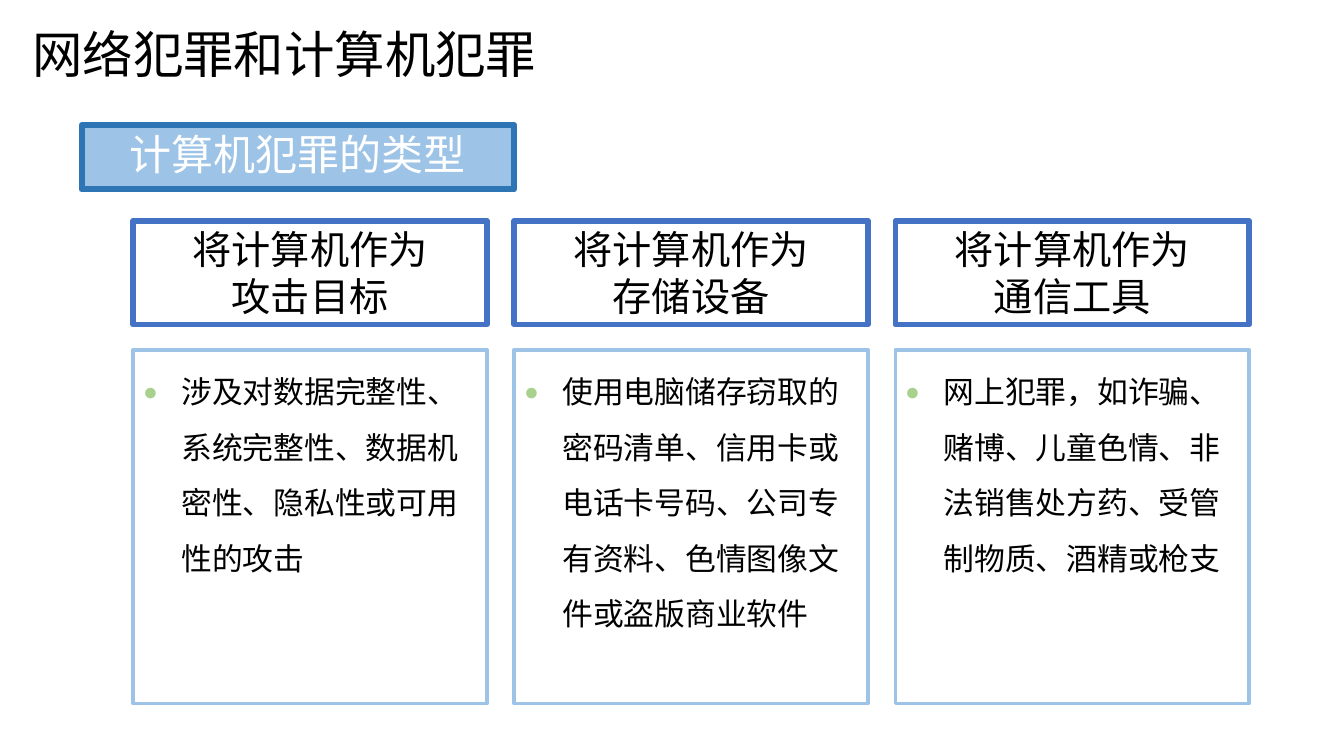
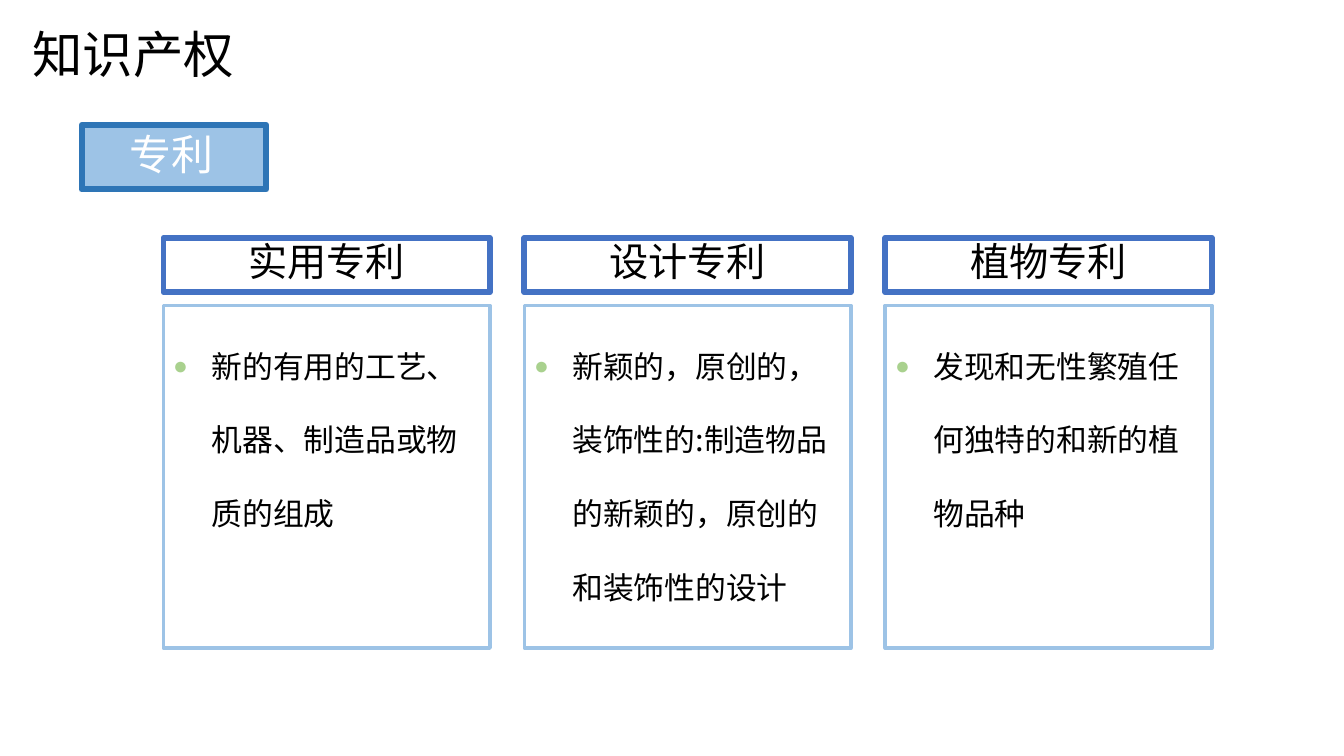
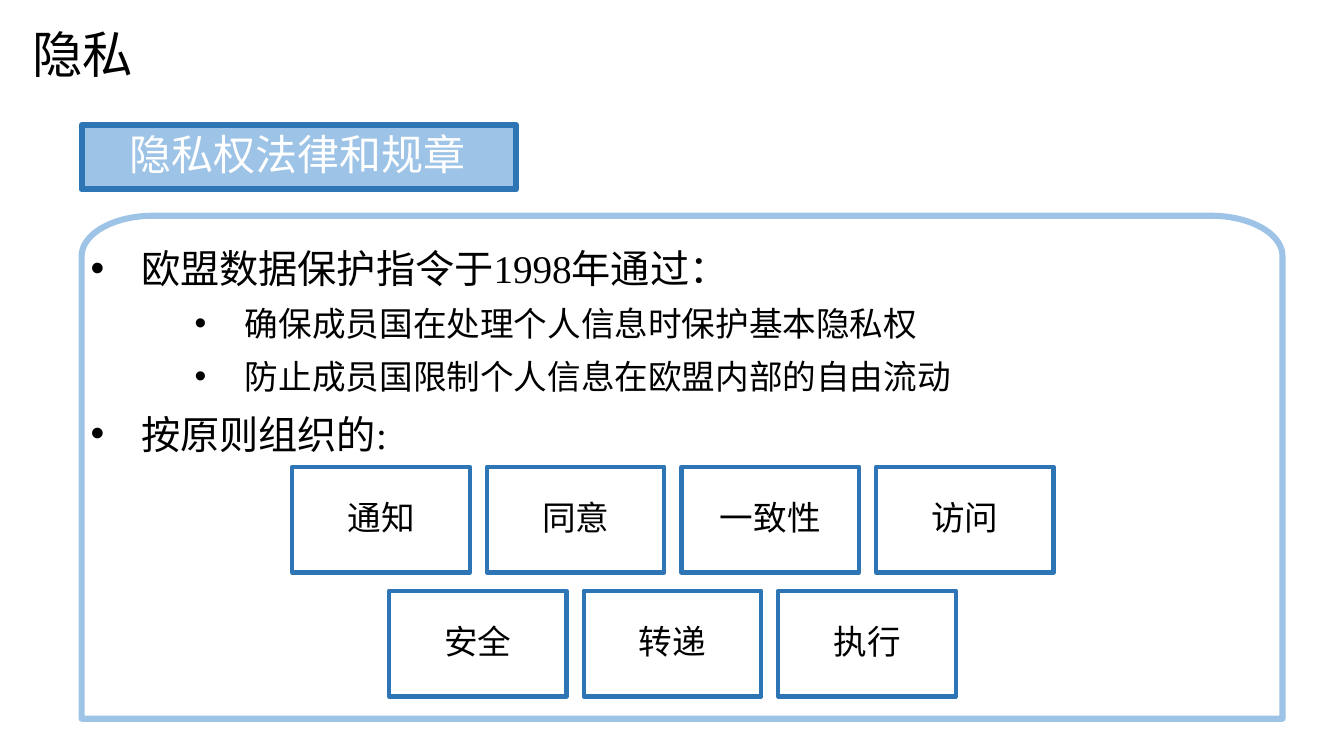
import math
from dataclasses import dataclass

from lxml import etree
from pptx import Presentation
from pptx import util as u
from pptx.dml.color import RGBColor
from pptx.enum import shapes, text
from pptx.oxml.ns import qn

PX = 9144  # EMU in one px, 100 px to the inch


@dataclass(frozen=True)
class Theme:
    sans: str = "Noto Sans CJK SC"
    serif: str = "Times New Roman"
    ink: str = "000000"
    white: str = "FFFFFF"
    sky: str = "9DC3E6"
    blue: str = "2E75B6"
    royal: str = "4472C4"
    green: str = "A9D18E"
    title: int = 36
    tag: int = 30
    heading: int = 28
    label: int = 24
    card: int = 22
    heavy: float = 4.33
    strong: float = 4
    medium: float = 3
    light: float = 2.5


LEFT, CENTER = text.PP_ALIGN.LEFT, text.PP_ALIGN.CENTER
TOP, MIDDLE = text.MSO_ANCHOR.TOP, text.MSO_ANCHOR.MIDDLE
TITLE_ONLY, TITLE_AND_LIST = 5, 1


def assign(obj, **values):
    for name, value in values.items():
        setattr(obj, name, value)


def place(sp, box):
    assign(sp, **{k: v * PX for k, v in zip(("left", "top", "width", "height"), box)})


class Deck:
    def __init__(self, theme):
        self.theme = theme
        self.prs = Presentation()
        assign(self.prs, slide_width=1333 * PX, slide_height=750 * PX)

    def slide(self, title, tag, tag_width, layout=TITLE_ONLY):
        t = self.theme
        self.s = self.prs.slides.add_slide(self.prs.slide_layouts[layout])
        sp = self.s.shapes.title
        place(sp, (21, 0, 591, 106))
        self.frame(sp, MIDDLE, (11, 6, 11, 6))
        self.set_lines(sp, [title], t.title)
        self.box((81, 124, tag_width, 64), [tag], t.tag, t.blue, t.heavy, fill=t.sky,
                 color=t.white, anchor=MIDDLE, insets=(47, 0, 40, 0), spacing=0.9)

    def frame(self, sp, anchor, insets):
        left, top, right, bottom = (i * PX for i in insets)
        assign(sp.text_frame, word_wrap=True, auto_size=text.MSO_AUTO_SIZE.NONE,
               vertical_anchor=anchor, margin_left=left, margin_top=top,
               margin_right=right, margin_bottom=bottom)

    def set_lines(self, sp, lines, size, **style):
        tf = sp.text_frame
        for i, line in enumerate(lines):
            p = tf.add_paragraph() if i else tf.paragraphs[0]
            self.paragraph(p, line, size, **style)

    def paragraph(self, p, line, size, color=None, latin=None, align=LEFT,
                  spacing=1.0, bullet=None):
        t = self.theme
        assign(p, alignment=align, line_spacing=spacing,
               space_before=u.Pt(0), space_after=u.Pt(0))
        if bullet:
            self.bullet(p, **bullet)
        r = p.add_run()
        r.text = line
        assign(r.font, size=u.Pt(size), name=latin or t.sans)
        r.font.color.rgb = RGBColor.from_string(color or t.ink)
        etree.SubElement(r._r.get_or_add_rPr(), qn("a:ea"), typeface=t.sans)

    def bullet(self, p, char, margin, hang, color=None, percent=100):
        pPr = p._p.get_or_add_pPr()
        pPr.set("marL", str(margin * PX))
        pPr.set("indent", str(-hang * PX))
        if color:
            clr = etree.SubElement(pPr, qn("a:buClr"))
            etree.SubElement(clr, qn("a:srgbClr"), val=color)
        etree.SubElement(pPr, qn("a:buSzPct"), val=str(percent * 1000))
        etree.SubElement(pPr, qn("a:buFont"), typeface="Arial")
        etree.SubElement(pPr, qn("a:buChar"), char=char)

    def paint(self, sp, line, weight, fill=None):
        sp.shadow.inherit = False
        if fill:
            sp.fill.solid()
            sp.fill.fore_color.rgb = RGBColor.from_string(fill)
        else:
            sp.fill.background()
        sp.line.color.rgb = RGBColor.from_string(line)
        sp.line.width = u.Pt(weight)

    def box(self, box, lines, size, line, weight, fill=None, anchor=TOP,
            insets=(10, 5, 10, 5), **style):
        sp = self.s.shapes.add_shape(shapes.MSO_SHAPE.RECTANGLE, *(v * PX for v in box))
        self.paint(sp, line, weight, fill)
        self.frame(sp, anchor, insets)
        self.set_lines(sp, lines, size, **style)

    def columns(self, items, left, pitch, width, heading, card, heading_spacing, card_spacing):
        """Headed cards side by side; heading and card are (top, height)."""
        t = self.theme
        dot = dict(char="●", margin=38, hang=38, color=t.green, percent=80)
        for i, (title, body) in enumerate(items):
            x = left + i * pitch
            self.box((x, heading[0], width, heading[1]), title, t.heading, t.royal,
                     t.strong, align=CENTER, spacing=heading_spacing)
            self.box((x, card[0], width, card[1]), [body], t.card, t.sky, t.light,
                     spacing=card_spacing, bullet=dot)

    def panel(self, box, rx, ry):
        """Outline with elliptical upper corners."""
        x, y, w, h = box
        arc = [(math.cos(a), math.sin(a)) for a in (math.pi * k / 48 for k in range(25))]
        right = [(x + w - rx + rx * c, y + ry - ry * s) for c, s in reversed(arc)]
        left = [(x + rx - rx * c, y + ry - ry * s) for c, s in arc]
        points = [(round(a * PX), round(b * PX)) for a, b in
                  right + [(x + w, y + h), (x, y + h)] + left]
        builder = self.s.shapes.build_freeform(*points[0], scale=1.0)
        builder.add_line_segments(points[1:], close=True)
        self.paint(builder.convert_to_shape(), self.theme.sky, self.theme.heavy)

    def outline(self, box, items):
        """Body list of (level, text) items."""
        t = self.theme
        sp = self.s.placeholders[1]
        place(sp, box)
        self.frame(sp, TOP, (9, 14, 8, 3))
        tf = sp.text_frame
        for i, (level, line) in enumerate(items):
            p = tf.add_paragraph() if i else tf.paragraphs[0]
            p.level = level
            self.paragraph(p, line, (t.heading, t.label)[level], latin=t.serif, spacing=1.3,
                           bullet=dict(char="•", margin=(50, 153)[level], hang=50))

    def cells(self, rows, center, top, width, height, gap):
        """Rows of labelled boxes, each row centred."""
        t = self.theme
        for j, row in enumerate(rows):
            left = center - (len(row) * (width + gap) - gap) // 2
            for i, label in enumerate(row):
                box = (left + i * (width + gap), top + j * (height + gap + 1), width, height)
                self.box(box, [label], t.label, t.blue, t.medium, anchor=MIDDLE,
                         insets=(10, 10, 10, 10), align=CENTER, spacing=0.9)


def main():
    deck = Deck(Theme())

    deck.slide("网络犯罪和计算机犯罪", "计算机犯罪的类型", 429)
    deck.columns([
        (["将计算机作为", "攻击目标"],
         "涉及对数据完整性、系统完整性、数据机密性、隐私性或可用性的攻击"),
        (["将计算机作为", "存储设备"],
         "使用电脑储存窃取的密码清单、信用卡或电话卡号码、公司专有资料、色情图像文件或盗版商业软件"),
        (["将计算机作为", "通信工具"],
         "网上犯罪，如诈骗、赌博、儿童色情、非法销售处方药、受管制物质、酒精或枪支"),
    ], left=132, pitch=378, width=351, heading=(219, 103), card=(347, 351),
        heading_spacing=1.0, card_spacing=1.5)

    deck.slide("知识产权", "专利", 183)
    deck.columns([
        (["实用专利"], "新的有用的工艺、机器、制造品或物质的组成"),
        (["设计专利"], "新颖的，原创的，装饰性的:制造物品的新颖的，原创的和装饰性的设计"),
        (["植物专利"], "发现和无性繁殖任何独特的和新的植物品种"),
    ], left=162, pitch=358, width=324, heading=(236, 54), card=(303, 340),
        heading_spacing=0.9, card_spacing=2.0)

    deck.slide("隐私", "隐私权法律和规章", 431, TITLE_AND_LIST)
    area = (81, 214, 1191, 499)
    deck.panel(area, rx=71, ry=40)
    deck.outline(area, [
        (0, "欧盟数据保护指令于1998年通过："),
        (1, "确保成员国在处理个人信息时保护基本隐私权"),
        (1, "防止成员国限制个人信息在欧盟内部的自由流动"),
        (0, "按原则组织的:"),
    ])
    deck.cells([["通知", "同意", "一致性", "访问"], ["安全", "转递", "执行"]],
               center=667, top=463, width=176, height=105, gap=17)

    deck.prs.save("out.pptx")


if __name__ == "__main__":
    main()
